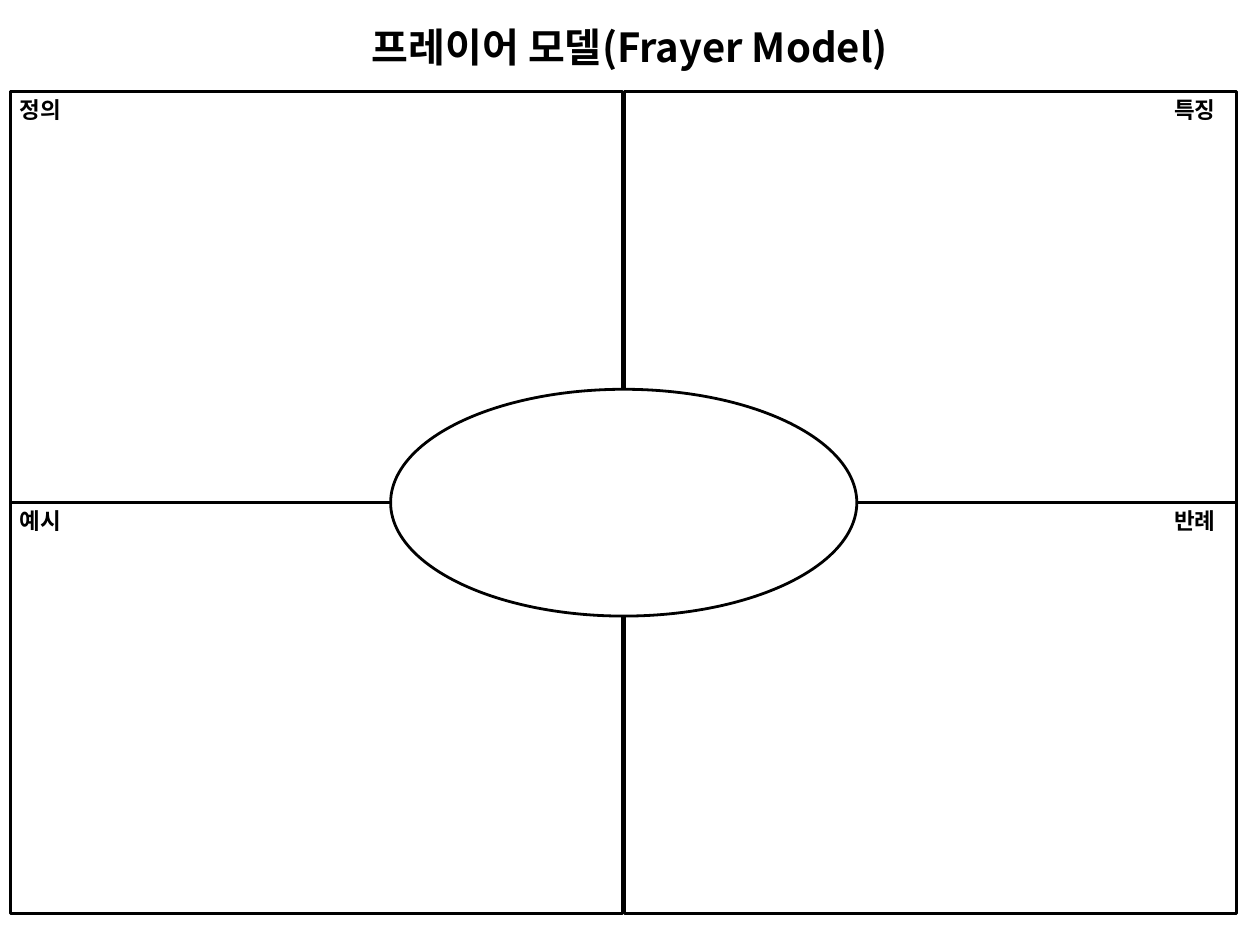
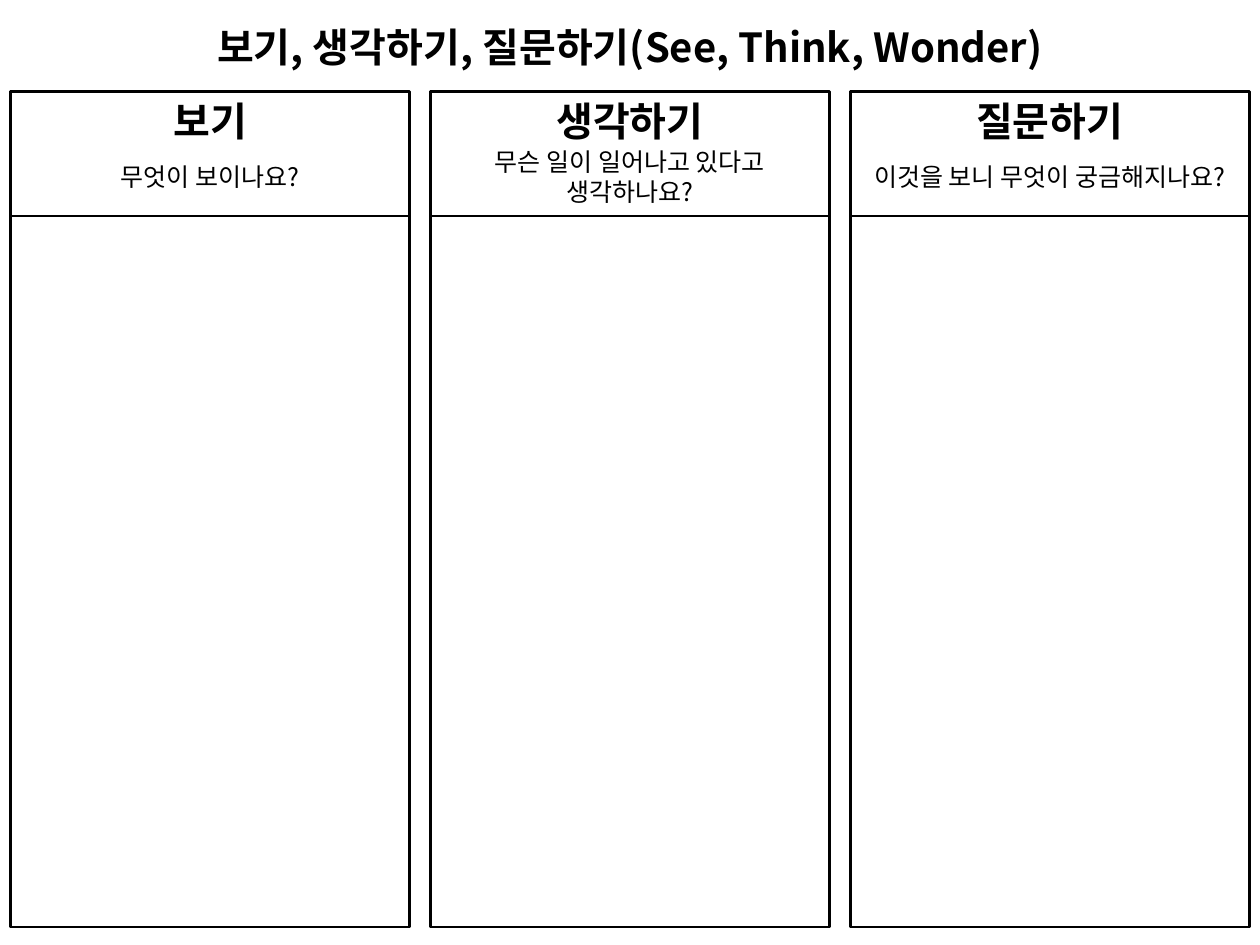
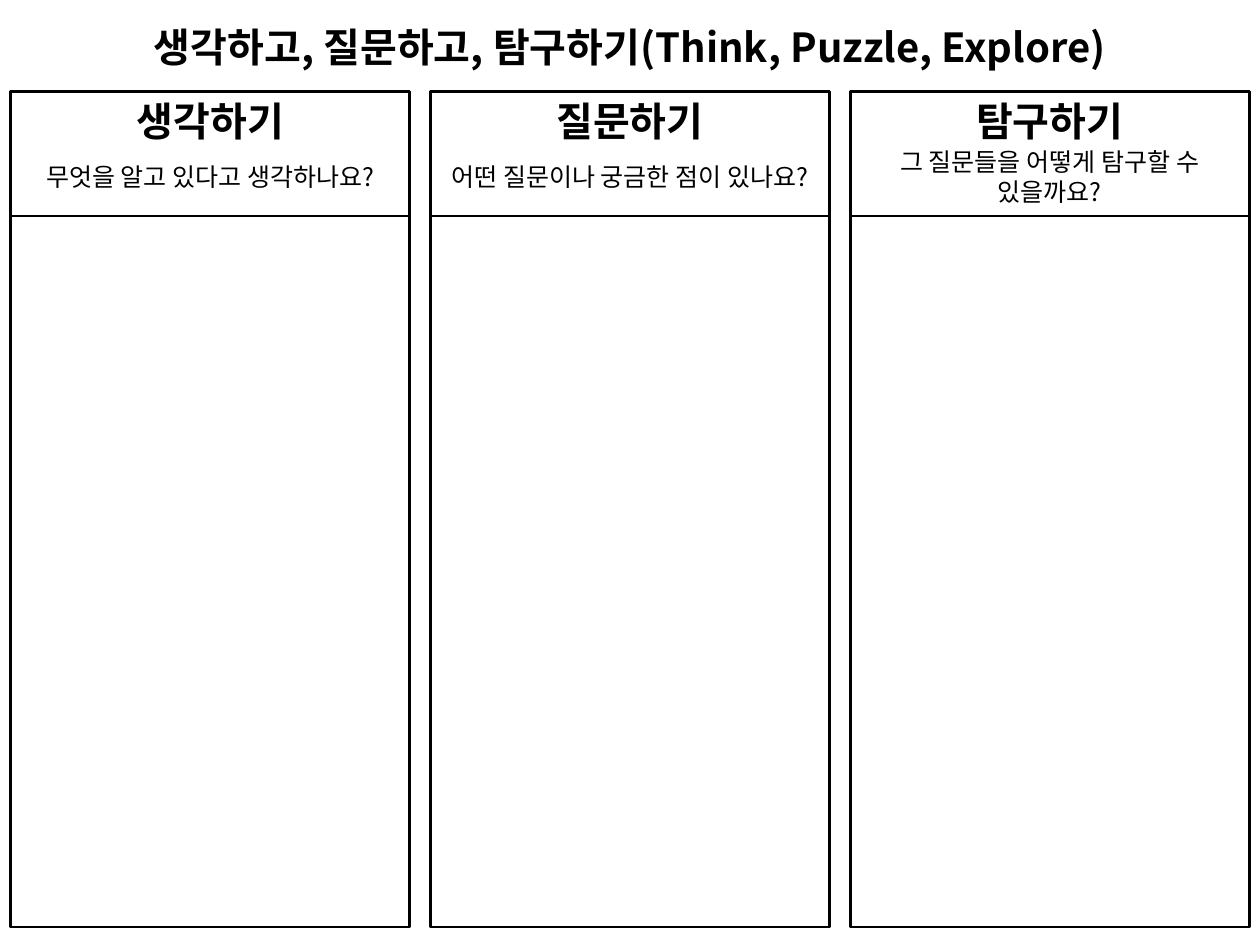
import dataclasses

import pptx
import pptx.dml.color
import pptx.enum.shapes
import pptx.enum.text
import pptx.oxml.ns
import pptx.util

ALIGN = pptx.enum.text.PP_ALIGN
ANCHOR = pptx.enum.text.MSO_ANCHOR
SHAPE = pptx.enum.shapes.MSO_SHAPE


@dataclasses.dataclass(frozen=True)
class Theme:
    font: str = "Noto Sans CJK KR"
    ink: str = "000000"
    paper: str = "FFFFFF"
    title_size: int = 32
    question_size: int = 20
    label_size: int = 18
    outline: float = 2.25


@dataclasses.dataclass(frozen=True)
class Area:
    left: float
    top: float
    width: float
    height: float

    def grid(self, columns, rows=1, gap=0):
        width = (self.width - gap * (columns - 1)) / columns
        height = self.height / rows
        return [
            Area(self.left + column * (width + gap), self.top + row * height, width, height)
            for row in range(rows)
            for column in range(columns)
        ]

    def band(self, offset, height, share=1.0):
        width = self.width * share
        return Area(self.left + (self.width - width) / 2, self.top + offset, width, height)

    def centered(self, width, height):
        return Area(
            self.left + (self.width - width) / 2,
            self.top + (self.height - height) / 2,
            width,
            height,
        )

    def emu(self):
        return [pptx.util.Inches(v) for v in (self.left, self.top, self.width, self.height)]


THEME = Theme()
SLIDE = Area(0, 0, 14, 10.5)
MARGIN = 0.12
BOARD_TOP = 1.02
TITLE_HEIGHT = 0.64
HEADER_HEIGHT = 1.38


def color(value):
    return pptx.dml.color.RGBColor.from_string(value)


def add_text(page, area, text, size=THEME.title_size, bold=True,
             align=ALIGN.CENTER, anchor=ANCHOR.TOP):
    box = page.shapes.add_textbox(*area.emu())
    frame = box.text_frame
    frame.word_wrap = True
    frame.vertical_anchor = anchor
    para = frame.paragraphs[0]
    para.alignment = align
    span = para.add_run()
    span.text = text
    span.font.name = THEME.font
    span.font.size = pptx.util.Pt(size)
    span.font.bold = bold
    span.font.color.rgb = color(THEME.ink)
    east_asian = span.font._element.makeelement(
        pptx.oxml.ns.qn("a:ea"), {"typeface": THEME.font})
    span.font._element.append(east_asian)


def add_outline(page, area, kind=SHAPE.RECTANGLE, fill=None):
    shape = page.shapes.add_shape(kind, *area.emu())
    shape.shadow.inherit = False
    if fill:
        shape.fill.solid()
        shape.fill.fore_color.rgb = color(fill)
    else:
        shape.fill.background()
    shape.line.color.rgb = color(THEME.ink)
    shape.line.width = pptx.util.Pt(THEME.outline)


def add_page(deck, title, title_share):
    page = deck.slides.add_slide(deck.slide_layouts[6])
    add_text(page, SLIDE.band(0.2, TITLE_HEIGHT, title_share), title)
    return page


def add_frayer_page(deck, title, labels):
    page = add_page(deck, title, 0.7)
    board = Area(MARGIN, BOARD_TOP, 13.62, 9.13)
    aligns = [ALIGN.LEFT, ALIGN.RIGHT] * 2
    for cell, label, align in zip(board.grid(2, 2, gap=0.02), labels, aligns):
        add_outline(page, cell)
        label_area = Area(cell.left, cell.top, cell.width * 0.98, 0.4)
        add_text(page, label_area, label, size=THEME.label_size, align=align)
    concept = board.centered(SLIDE.width * 0.37, SLIDE.height * 0.24)
    add_outline(page, concept, kind=SHAPE.OVAL, fill=THEME.paper)


def add_routine_page(deck, title, steps):
    page = add_page(deck, title, 0.87)
    board = Area(MARGIN, BOARD_TOP, SLIDE.width - 2 * MARGIN, 9.28)
    for column, (heading, question) in zip(board.grid(len(steps), gap=0.23), steps):
        add_outline(page, column.band(0, HEADER_HEIGHT))
        add_outline(page, column.band(HEADER_HEIGHT, column.height - HEADER_HEIGHT))
        add_text(page, column.band(0, TITLE_HEIGHT, 0.65), heading)
        add_text(page, column.band(0.56, 0.77), question,
                 size=THEME.question_size, bold=False, anchor=ANCHOR.MIDDLE)


def main():
    deck = pptx.Presentation()
    deck.slide_width = pptx.util.Inches(SLIDE.width)
    deck.slide_height = pptx.util.Inches(SLIDE.height)
    add_frayer_page(deck, "프레이어 모델(Frayer Model)", ["정의", "특징", "예시", "반례"])
    add_routine_page(deck, "보기, 생각하기, 질문하기(See, Think, Wonder)", [
        ("보기", "무엇이 보이나요?"),
        ("생각하기", "무슨 일이 일어나고 있다고 생각하나요?"),
        ("질문하기", "이것을 보니 무엇이 궁금해지나요?"),
    ])
    add_routine_page(deck, "생각하고, 질문하고, 탐구하기(Think, Puzzle, Explore)", [
        ("생각하기", "무엇을 알고 있다고 생각하나요?"),
        ("질문하기", "어떤 질문이나 궁금한 점이 있나요?"),
        ("탐구하기", "그 질문들을 어떻게 탐구할 수 있을까요?"),
    ])
    deck.save("out.pptx")


if __name__ == "__main__":
    main()
